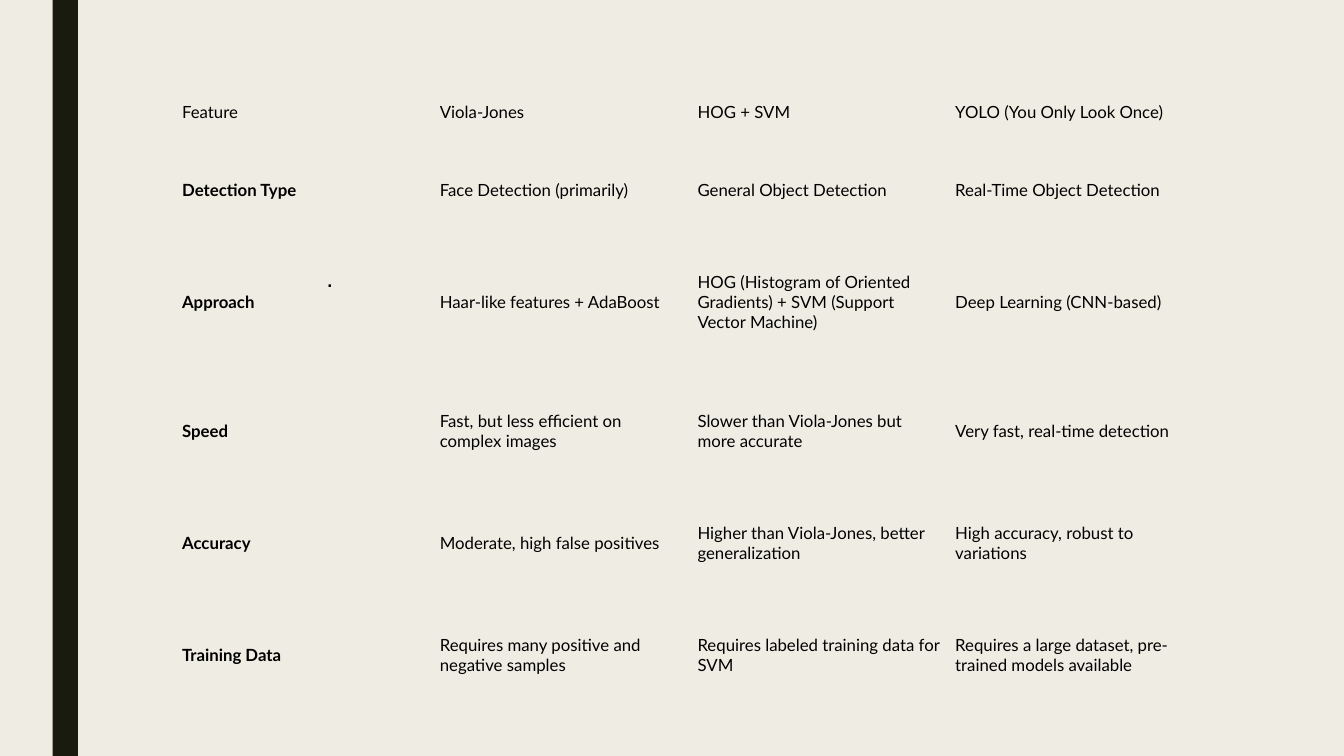
from pptx import Presentation
from pptx.dml.color import RGBColor
from pptx.enum.shapes import MSO_SHAPE as Shape
from pptx.enum.text import MSO_ANCHOR as Anchor, MSO_AUTO_SIZE as AutoSize
from pptx.oxml.ns import qn
from pptx.util import Pt

# Content
COMPARISON = [
    ("Feature", "Viola-Jones", "HOG + SVM", "YOLO (You Only Look Once)"),
    ("Detection Type", "Face Detection (primarily)", "General Object Detection",
     "Real-Time Object Detection"),
    ("Approach", "Haar-like features + AdaBoost",
     "HOG (Histogram of Oriented Gradients) + SVM (Support Vector Machine)",
     "Deep Learning (CNN-based)"),
    ("Speed", "Fast, but less efficient on complex images",
     "Slower than Viola-Jones but more accurate", "Very fast, real-time detection"),
    ("Accuracy", "Moderate, high false positives",
     "Higher than Viola-Jones, better generalization",
     "High accuracy, robust to variations"),
    ("Training Data", "Requires many positive and negative samples",
     "Requires labeled training data for SVM",
     "Requires a large dataset, pre-trained models available"),
]
STRAY_MARK = "."

# Look
CREAM = RGBColor(0xEF, 0xED, 0xE3)
DARK_OLIVE = RGBColor(0x19, 0x1B, 0x0E)
BLACK = RGBColor(0, 0, 0)
NO_STYLE_NO_GRID = "{2D5ABB26-0587-4C30-8999-92F81FD0307C}"

# Layout in points
SLIDE_WIDTH, SLIDE_HEIGHT = 960, 540
TABLE_LEFT, TABLE_TOP = 125.2, 51.8
COLUMN_WIDTH = 184.1
ROW_HEIGHTS = [56, 56, 104, 80, 80, 80]
SIDE_INSET, END_INSET = 4.9, 2.4


def set_font(paragraph, name, size, bold=False):
    font = paragraph.font
    font.name, font.size, font.bold = name, Pt(size), bold
    font.color.rgb = BLACK


def add_side_bar(slide):
    side_bar = slide.shapes.add_shape(
        Shape.RECTANGLE, Pt(37.6), Pt(0), Pt(18), Pt(SLIDE_HEIGHT))
    side_bar.shadow.inherit = False
    side_bar.fill.solid()
    side_bar.fill.fore_color.rgb = DARK_OLIVE
    side_bar.line.fill.background()


def add_comparison(slide):
    row_count, column_count = len(COMPARISON), len(COMPARISON[0])
    comparison = slide.shapes.add_table(
        row_count, column_count, Pt(TABLE_LEFT), Pt(TABLE_TOP),
        Pt(COLUMN_WIDTH * column_count), Pt(sum(ROW_HEIGHTS))).table
    comparison.first_row = comparison.horz_banding = False
    comparison._tbl.tblPr.find(qn("a:tableStyleId")).text = NO_STYLE_NO_GRID
    for column in comparison.columns:
        column.width = Pt(COLUMN_WIDTH)
    for row_index, entries in enumerate(COMPARISON):
        comparison.rows[row_index].height = Pt(ROW_HEIGHTS[row_index])
        for column_index, entry in enumerate(entries):
            cell = comparison.cell(row_index, column_index)
            cell.fill.background()
            cell.vertical_anchor = Anchor.MIDDLE
            cell.margin_left = cell.margin_right = Pt(SIDE_INSET)
            cell.margin_top = cell.margin_bottom = Pt(END_INSET)
            cell.text = entry
            is_row_label = row_index > 0 and column_index == 0
            set_font(cell.text_frame.paragraphs[0], "Lato", 12, is_row_label)


def add_stray_mark(slide):
    frame = slide.shapes.add_textbox(Pt(226), Pt(183.6), Pt(19.4), Pt(29)).text_frame
    frame.word_wrap = False
    frame.auto_size = AutoSize.SHAPE_TO_FIT_TEXT
    frame.vertical_anchor = Anchor.MIDDLE
    frame.text = STRAY_MARK
    set_font(frame.paragraphs[0], "Arial", 18)


def main():
    deck = Presentation()
    deck.slide_width, deck.slide_height = Pt(SLIDE_WIDTH), Pt(SLIDE_HEIGHT)
    slide = deck.slides.add_slide(deck.slide_layouts[6])
    slide.background.fill.solid()
    slide.background.fill.fore_color.rgb = CREAM
    add_side_bar(slide)
    add_comparison(slide)
    add_stray_mark(slide)
    deck.save("out.pptx")


if __name__ == "__main__":
    main()
